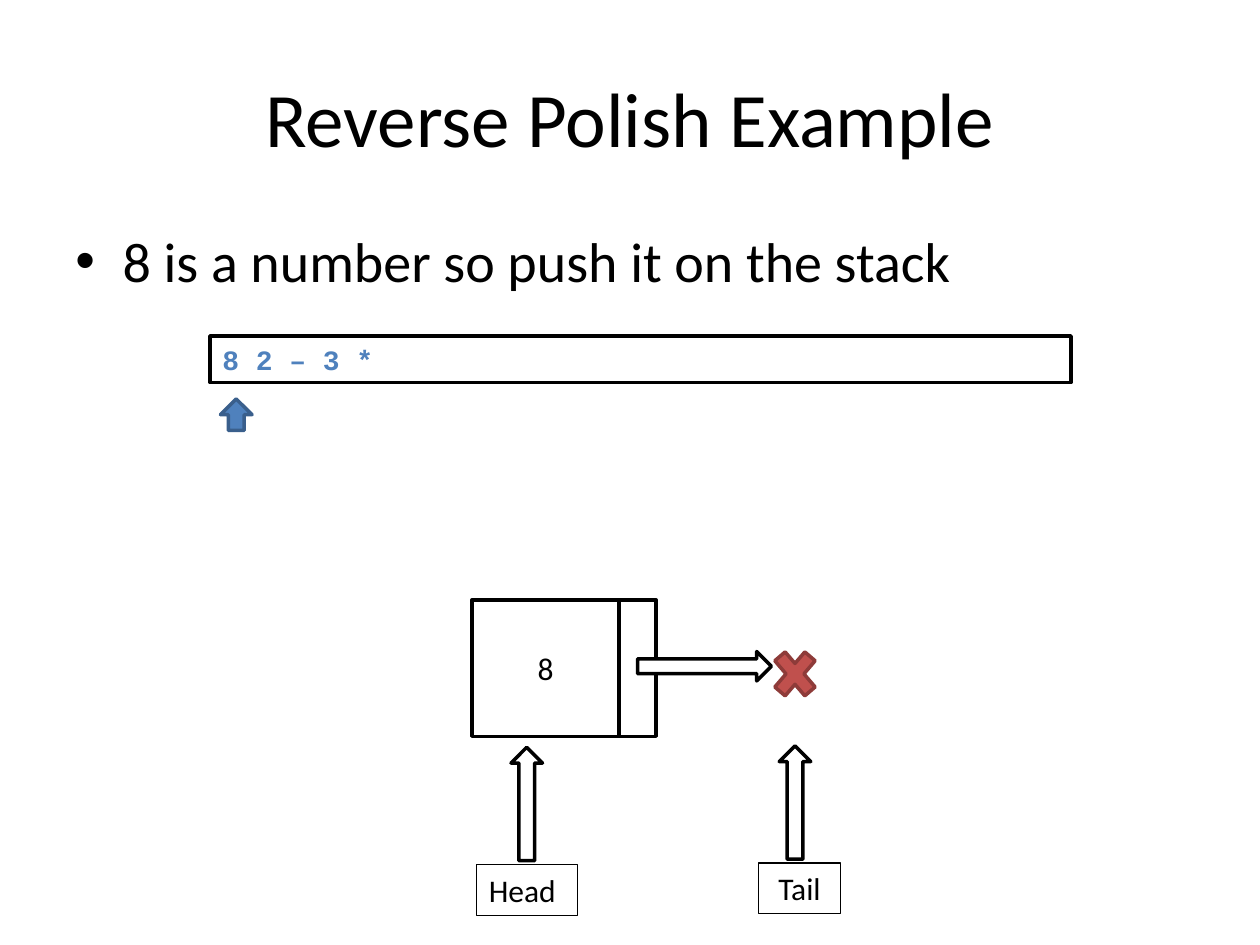
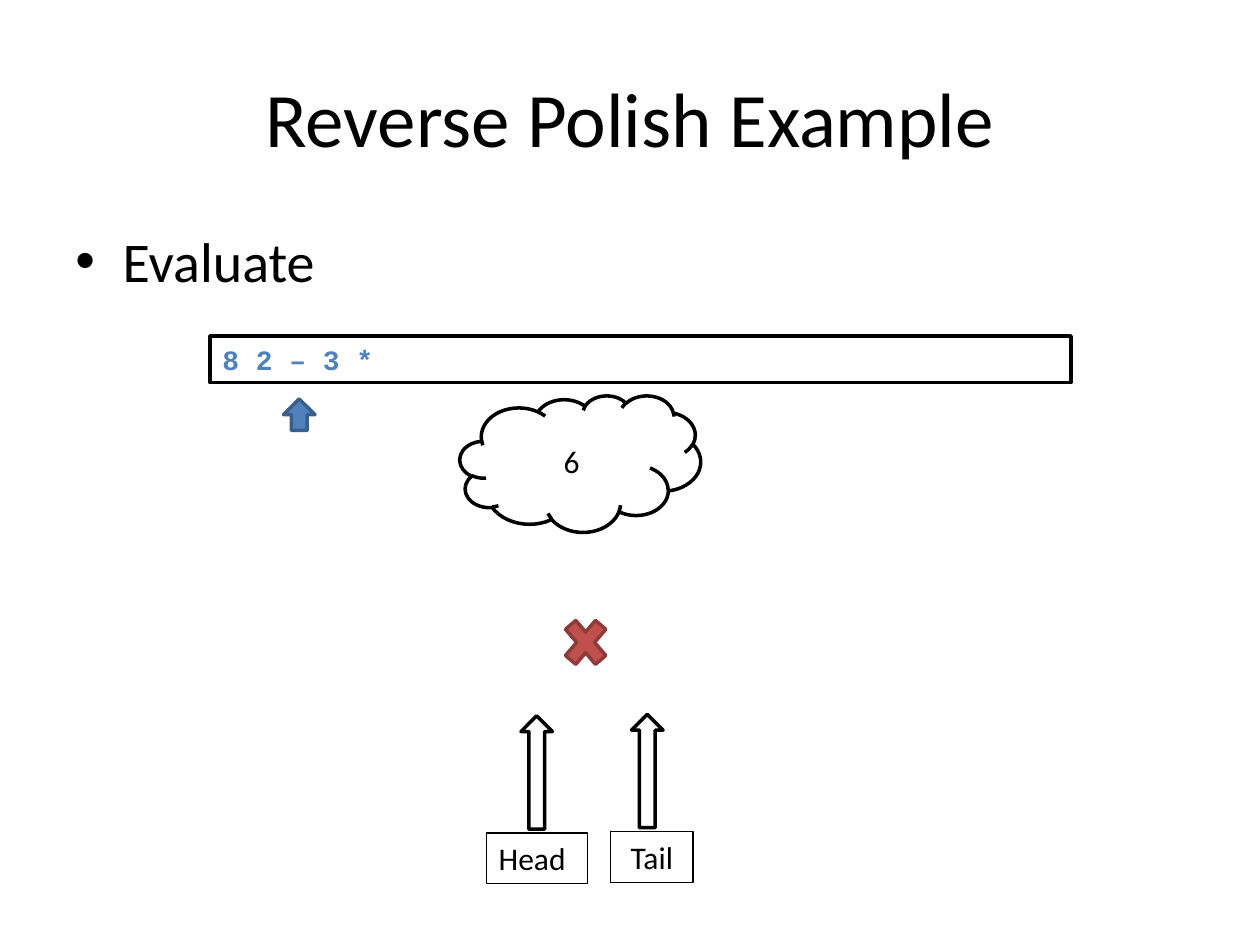
from dataclasses import dataclass
from typing import Optional

from lxml.etree import SubElement
from pptx import Presentation
from pptx.dml.color import RGBColor
from pptx.enum.shapes import MSO_SHAPE
from pptx.enum.text import MSO_ANCHOR, MSO_AUTO_SIZE, PP_ALIGN
from pptx.oxml.ns import qn
from pptx.util import Pt

BLACK = RGBColor(0x00, 0x00, 0x00)
WHITE = RGBColor(0xFF, 0xFF, 0xFF)
BLUE = RGBColor(0x4F, 0x81, 0xBD)
DARK_BLUE = RGBColor(0x3A, 0x5F, 0x8C)
RED = RGBColor(0xC0, 0x50, 0x4D)
DARK_RED = RGBColor(0x8E, 0x3B, 0x39)

BODY_FONT = "Calibri"
CODE_FONT = "Courier New"
EXPRESSION = "8 2 – 3 *"
INDENT = 27


@dataclass(frozen=True)
class Box:
    """Place and size in points."""
    left: float
    top: float
    width: float
    height: float


@dataclass(frozen=True)
class Style:
    """Fill and outline of a shape."""
    fill: Optional[RGBColor]
    line: RGBColor
    weight: float = 2


@dataclass(frozen=True)
class TextStyle:
    """Font and placing of a text."""
    size: float
    font: str = BODY_FONT
    color: RGBColor = BLACK
    bold: bool = False
    align: PP_ALIGN = PP_ALIGN.CENTER
    anchor: MSO_ANCHOR = MSO_ANCHOR.MIDDLE


@dataclass(frozen=True)
class Step:
    """One step of the evaluation: message, reading position and list ends."""
    message: str
    cursor_left: float
    head_left: float
    tail_left: float
    label_top: float
    null_left: float


OUTLINED = Style(WHITE, BLACK)
LABEL = Style(None, BLACK, 0.75)
CURSOR = Style(BLUE, DARK_BLUE)
NULL_MARK = Style(RED, DARK_RED)

TITLE_TEXT = TextStyle(44)
BULLET_TEXT = TextStyle(32, align=PP_ALIGN.LEFT, anchor=MSO_ANCHOR.TOP)
CODE_TEXT = TextStyle(16, CODE_FONT, BLUE, True, PP_ALIGN.LEFT, MSO_ANCHOR.TOP)
VALUE_TEXT = TextStyle(18)
HEAD_TEXT = TextStyle(18, align=PP_ALIGN.LEFT, anchor=MSO_ANCHOR.TOP)
TAIL_TEXT = TextStyle(18, anchor=MSO_ANCHOR.TOP)


def write(shape, text: str, style: TextStyle):
    """Put one styled paragraph into a shape and return the paragraph."""
    frame = shape.text_frame
    frame.word_wrap = True
    frame.vertical_anchor = style.anchor
    paragraph = frame.paragraphs[0]
    paragraph.text = text
    paragraph.alignment = style.align
    paragraph.font.name = style.font
    paragraph.font.size = Pt(style.size)
    paragraph.font.bold = style.bold
    paragraph.font.color.rgb = style.color
    return paragraph


def draw(shapes, kind: MSO_SHAPE, box: Box, style: Style):
    """Add a preset shape with the given fill and outline."""
    shape = shapes.add_shape(kind, Pt(box.left), Pt(box.top),
                             Pt(box.width), Pt(box.height))
    shape.shadow.inherit = False
    if style.fill is None:
        shape.fill.background()
    else:
        shape.fill.solid()
        shape.fill.fore_color.rgb = style.fill
    shape.line.color.rgb = style.line
    shape.line.width = Pt(style.weight)
    return shape


def add_text(slide, box: Box, text: str, style: TextStyle):
    """Add a plain text box and return its paragraph."""
    text_box = slide.shapes.add_textbox(Pt(box.left), Pt(box.top),
                                        Pt(box.width), Pt(box.height))
    return write(text_box, text, style)


def add_fitted(slide, box: Box, text: str, style: Style, text_style: TextStyle) -> None:
    """Add a rectangle that grows with its text."""
    rectangle = draw(slide.shapes, MSO_SHAPE.RECTANGLE, box, style)
    write(rectangle, text, text_style)
    rectangle.text_frame.auto_size = MSO_AUTO_SIZE.SHAPE_TO_FIT_TEXT


def add_bullet(paragraph) -> None:
    """Give a paragraph a hanging bullet."""
    properties = paragraph._p.get_or_add_pPr()
    properties.set("marL", str(Pt(INDENT)))
    properties.set("indent", str(-Pt(INDENT)))
    SubElement(properties, qn("a:buFont")).set("typeface", "Arial")
    bullet = SubElement(properties, qn("a:buChar"))
    bullet.set("char", "•")
    # The schema wants the bullet before the default run properties.
    properties.append(properties.find(qn("a:defRPr")))


def add_list_end(slide, text: str, box: Box, arrow_shift: float,
                 style: TextStyle) -> None:
    """Add a labelled end of the list with its upward arrow."""
    add_fitted(slide, box, text, LABEL, style)
    arrow = draw(slide.shapes, MSO_SHAPE.RIGHT_ARROW,
                 Box(box.left - arrow_shift, box.top - 43.6, 64.8, 18), OUTLINED)
    arrow.rotation = 270


def add_step(deck, step: Step):
    """Add a slide with all that the steps share and return it."""
    slide = deck.slides.add_slide(deck.slide_layouts[6])
    add_text(slide, Box(36, 21.6, 648, 90), "Reverse Polish Example", TITLE_TEXT)
    add_bullet(add_text(slide, Box(36, 126, 648, 356.4), step.message, BULLET_TEXT))
    add_list_end(slide, "Head", Box(step.head_left, step.label_top + 0.8, 57.8, 29),
                 3.6, HEAD_TEXT)
    draw(slide.shapes, MSO_SHAPE.MATH_MULTIPLY,
         Box(step.null_left, step.label_top - 127.4, 33, 38.6), NULL_MARK)
    add_list_end(slide, "Tail", Box(step.tail_left, step.label_top, 47, 29),
                 11.5, TAIL_TEXT)
    add_fitted(slide, Box(120, 192, 492, 26.6), EXPRESSION, OUTLINED, CODE_TEXT)
    draw(slide.shapes, MSO_SHAPE.UP_ARROW,
         Box(step.cursor_left, 228, 18, 18), CURSOR)
    return slide


def add_node(slide, value: str, box: Box, link_width: float) -> None:
    """Add a list node: a value cell, a link cell and the link arrow."""
    node = slide.shapes.add_group_shape()
    value_width = box.width - link_width
    link_left = box.left + value_width
    cell = draw(node.shapes, MSO_SHAPE.RECTANGLE,
                Box(box.left, box.top, value_width, box.height), OUTLINED)
    write(cell, value, VALUE_TEXT)
    draw(node.shapes, MSO_SHAPE.RECTANGLE,
         Box(link_left, box.top, link_width, box.height), OUTLINED)
    draw(slide.shapes, MSO_SHAPE.RIGHT_ARROW,
         Box(link_left + link_width / 2, box.top + 29.5, 76.5, 16.8), OUTLINED)


def main() -> None:
    """Build and save the deck."""
    deck = Presentation()
    deck.slide_width, deck.slide_height = Pt(720), Pt(540)

    push = add_step(deck, Step("8 is a number so push it on the stack",
                               cursor_left=126, head_left=272.2, tail_left=433.4,
                               label_top=493.2, null_left=437.8))
    add_node(push, "8", Box(269.8, 342.8, 105, 78), link_width=21)

    evaluate = add_step(deck, Step("Evaluate",
                                   cursor_left=162, head_left=277.9, tail_left=349,
                                   label_top=475.2, null_left=318.2))
    result = draw(evaluate.shapes, MSO_SHAPE.CLOUD,
                  Box(262.8, 226, 137.6, 78), OUTLINED)
    write(result, "6", VALUE_TEXT)

    deck.save("out.pptx")


main()
